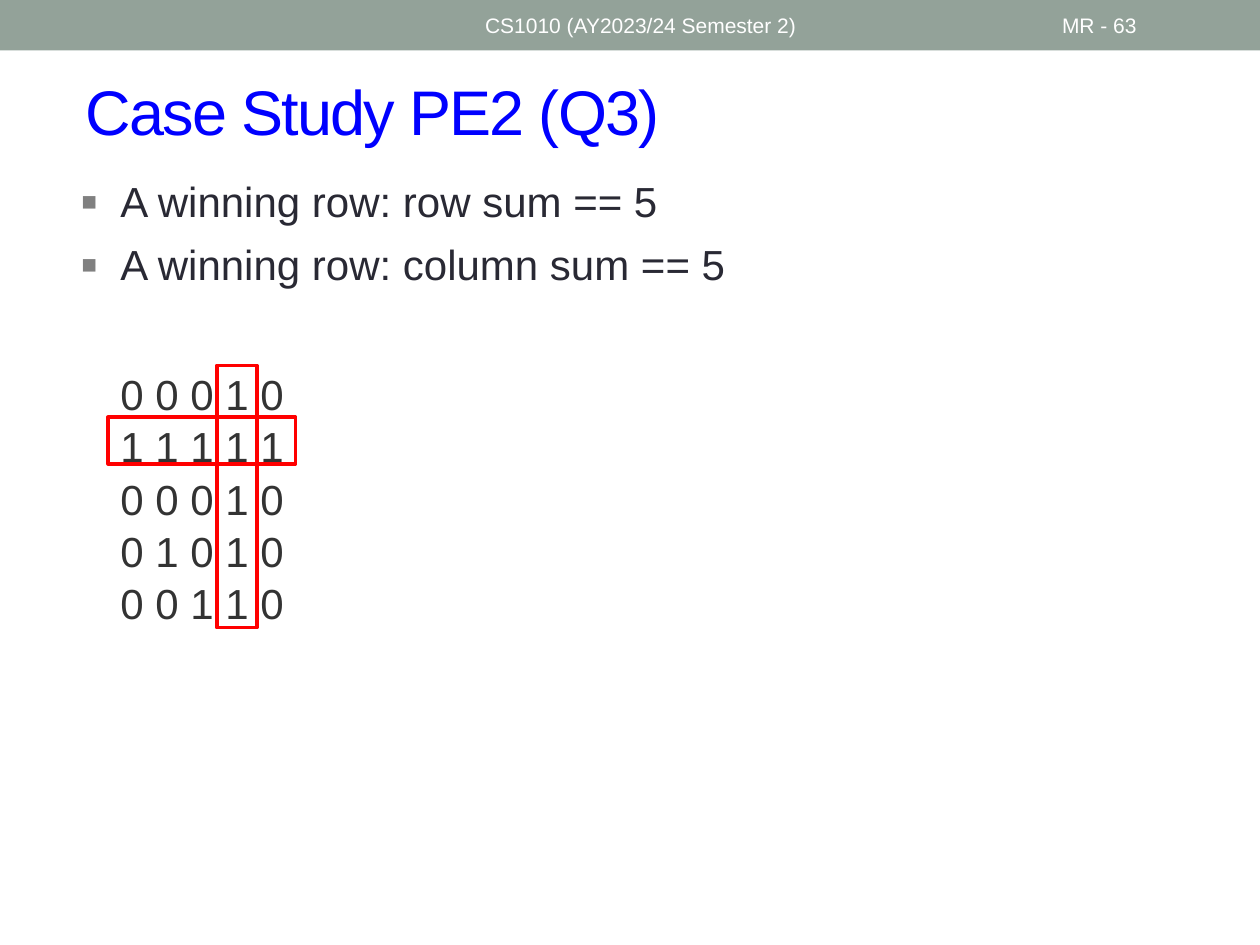
import pptx
import pptx.dml.color
import pptx.enum.shapes
import pptx.enum.text
import pptx.oxml.ns
import pptx.util
from lxml import etree

Cm = pptx.util.Cm
Pt = pptx.util.Pt
TOP = pptx.enum.text.MSO_ANCHOR.TOP
MIDDLE = pptx.enum.text.MSO_ANCHOR.MIDDLE

HUES = {
    "bar": "93A299",
    "title": "0000FF",
    "body": "292934",
    "grid": "333333",
    "bullet": "808080",
    "mark": "FF0000",
    "head": "FFFFFF",
}
LEADING = 1.04
BULLETS = ["A winning row: row sum == 5", "A winning row: column sum == 5"]
BOARD = ["0 0 0 1 0", "1 1 1 1 1", "0 0 0 1 0", "0 1 0 1 0", "0 0 1 1 0"]


def hue(name):
    return pptx.dml.color.RGBColor.from_string(HUES[name])


def style(item, **values):
    for name, value in values.items():
        setattr(item, name, value)


def place(item, left, top, width, height):
    style(item, left=Cm(left), top=Cm(top), width=Cm(width), height=Cm(height))


def bullet(para):
    """Add a grey square with a hanging indent."""
    props = para._p.get_or_add_pPr()
    props.set("marL", str(Cm(0.81)))
    props.set("indent", str(-Cm(0.81)))
    qn = pptx.oxml.ns.qn
    tint = etree.SubElement(props, qn("a:buClr"))
    etree.SubElement(tint, qn("a:srgbClr"), val=HUES["bullet"])
    etree.SubElement(props, qn("a:buSzPct"), val="120000")
    etree.SubElement(props, qn("a:buFont"), typeface="Arial")
    etree.SubElement(props, qn("a:buChar"), char="▪")


def write(frame, lines, size, tone, anchor=TOP, gap=0, leading=1.0, dots=False):
    style(frame, word_wrap=True, vertical_anchor=anchor,
          auto_size=pptx.enum.text.MSO_AUTO_SIZE.NONE)
    for index, line in enumerate(lines):
        para = frame.add_paragraph() if index else frame.paragraphs[0]
        style(para, alignment=pptx.enum.text.PP_ALIGN.LEFT,
              line_spacing=leading, space_before=Pt(gap if index else 0))
        if dots:
            bullet(para)
        run = para.add_run()
        run.text = line
        style(run.font, name="Arial", size=Pt(size))
        run.font.color.rgb = hue(tone)


def label(slide, spot, lines, size, tone, **rest):
    box = slide.shapes.add_textbox(*map(Cm, spot))
    write(box.text_frame, lines, size, tone, **rest)


def rect(slide, spot, fill=None, line=None):
    kind = pptx.enum.shapes.MSO_SHAPE.RECTANGLE
    shape = slide.shapes.add_shape(kind, *map(Cm, spot))
    shape.shadow.inherit = False
    if fill:
        shape.fill.solid()
        shape.fill.fore_color.rgb = hue(fill)
    else:
        shape.fill.background()
    if line:
        shape.line.color.rgb = hue(line)
        shape.line.width = Pt(2.08)
    else:
        shape.line.fill.background()


def title(slide, text):
    head = slide.shapes.title
    place(head, 1.47, 1.27, 22.53, 1.9)
    write(head.text_frame, [text], 36, "title", MIDDLE)
    run = head.text_frame.paragraphs[0].runs[0]
    run.font._element.set("spc", "-100")


def main():
    deck = pptx.Presentation()
    style(deck, slide_width=Cm(25.4), slide_height=Cm(19.05))
    slide = deck.slides.add_slide(deck.slide_layouts[5])

    rect(slide, (0, 0, 25.4, 1.02), fill="bar")
    title(slide, "Case Study PE2 (Q3)")
    label(slide, (1.37, 3.38, 22.53, 12.9), BULLETS, 24, "body",
          gap=6, leading=LEADING, dots=True)
    label(slide, (2.18, 7.26, 4.5, 5.38), BOARD, 24, "grid", leading=LEADING)
    rect(slide, (4.37, 7.37, 0.81, 5.28), line="mark")
    rect(slide, (2.18, 8.41, 3.78, 0.94), line="mark")
    for left, width, text in [(9.53, 11.43, "CS1010 (AY2023/24 Semester 2)"),
                              (21.16, 2.97, "MR - 63")]:
        label(slide, (left, 0.05, width, 0.91), [text], 12, "head", anchor=MIDDLE)

    deck.save("out.pptx")


if __name__ == "__main__":
    main()
